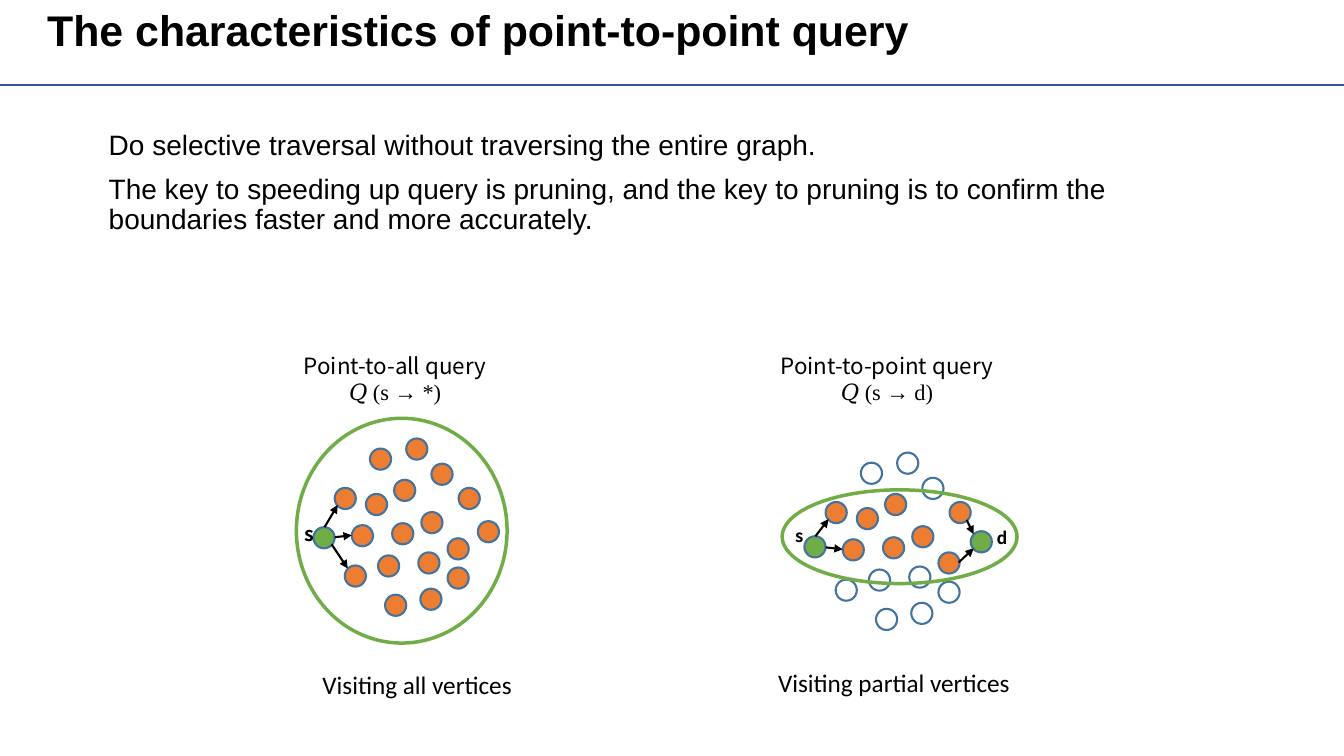
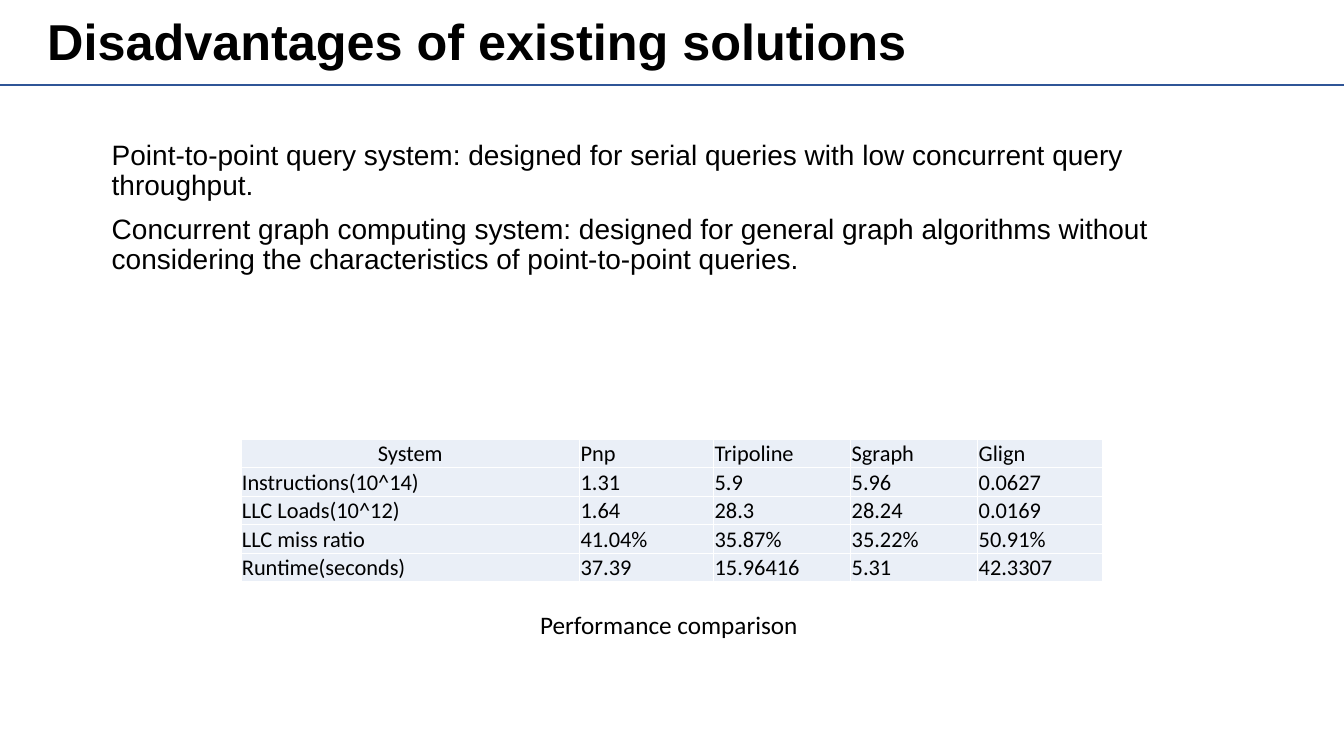
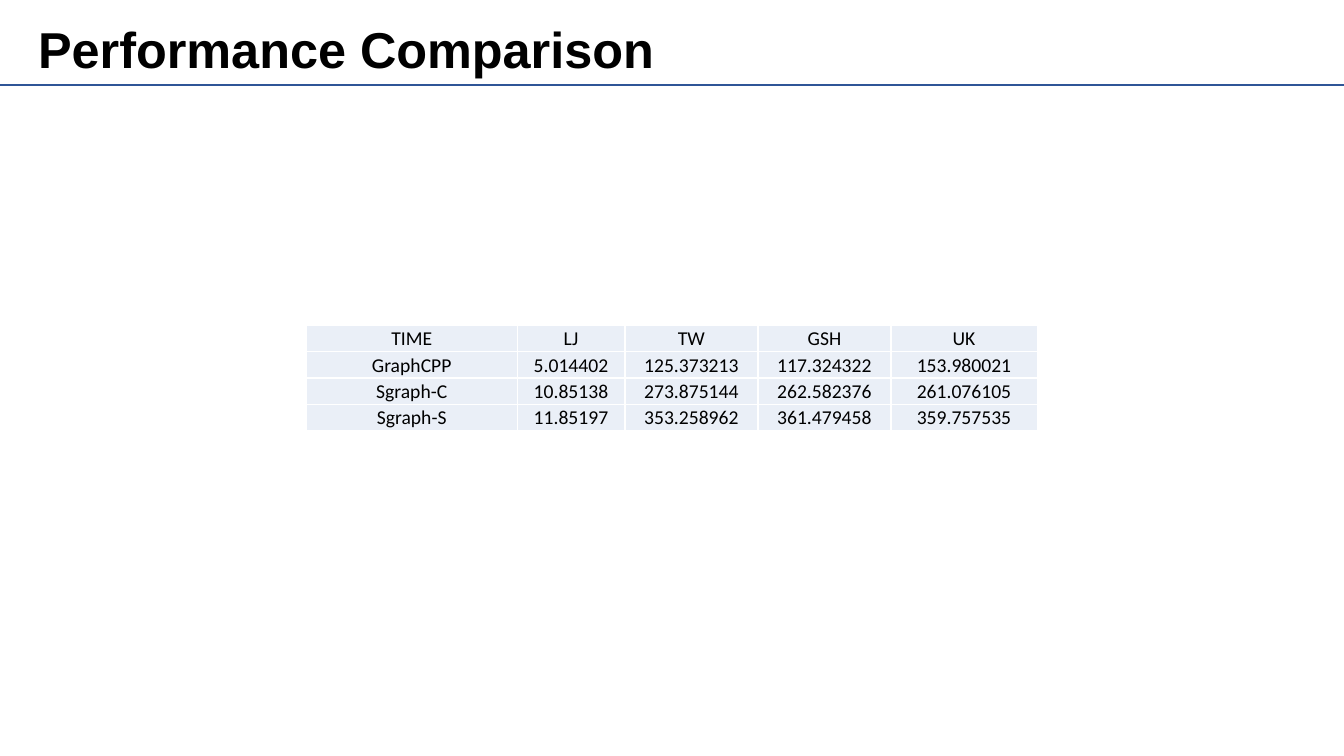
from itertools import product

from pptx import Presentation
from pptx.dml.color import RGBColor
from pptx.enum.shapes import MSO_CONNECTOR, MSO_SHAPE
from pptx.enum.text import MSO_ANCHOR as Anchor, MSO_AUTO_SIZE as AutoSize, PP_ALIGN as Align
from pptx.oxml import parse_xml
from pptx.oxml.ns import nsdecls
from pptx.util import Inches, Pt

COLUMNS, ROWS = 133.33, 75
VERTEX_SIZE = 2.1
COLORS = {
    "text": "000000",
    "rule": "2F5597",
    "unvisited": "FFFFFF",
    "visited": "ED7D31",
    "endpoint": "70AD47",
    "outline": "43739E",
    "cell": "EAEFF7",
    "border": "FFFFFF",
}
HEADING, BODY, LABEL, FORMULA = "Arial", "Calibri", "Noto Sans CJK SC", "Times New Roman"

# Vertex places, in grid cells from the origin of a query graph.
INNER_VERTICES = [
    (5.2, -3.3), (8, -4.7), (10.7, -1.5), (7.8, -0.4), (13.3, 1.1),
    (14.4, -3.9), (2.1, -3.9), (3.8, -0.2),
]
OUTER_VERTICES = [
    (5.6, -7.8), (11.7, -6.3), (10.4, 2.5), (6.4, 2.8), (3.1, 3.8),
    (7.1, 6.7), (13.3, 4), (9.2, -8.8), (10.6, 6.1),
]


def cells(count):
    """Turn a number of grid cells (a tenth of an inch each) into a length."""
    return Inches(count / 10)


def rgb(name):
    return RGBColor.from_string(COLORS[name])


def write(frame, text, size=18, fonts=(BODY,), bold=False, align=Align.LEFT,
          line_spacing=None, space_before=0):
    """Write one paragraph per line of text; the last font serves all further lines."""
    for index, line in enumerate(text.split("\n")):
        paragraph = frame.add_paragraph() if index else frame.paragraphs[0]
        paragraph.alignment = align
        paragraph.space_before = Pt(space_before)
        if line_spacing:
            paragraph.line_spacing = line_spacing
        run = paragraph.add_run()
        run.text = line
        run.font.name = fonts[min(index, len(fonts) - 1)]
        run.font.size = Pt(size)
        run.font.bold = bold
        run.font.color.rgb = rgb("text")


class Deck:
    """Holds the presentation, the current slide and the shapes being drawn into."""

    def __init__(self):
        self.presentation = Presentation()
        self.presentation.slide_width = cells(COLUMNS)
        self.presentation.slide_height = cells(ROWS)

    def new_slide(self, title, left=3.7, top=0.5, size=36, line_spacing=None):
        self.slide = self.presentation.slides.add_slide(self.presentation.slide_layouts[6])
        self.shapes = self.slide.shapes
        self.line((COLUMNS, 8.4), (0, 8.4), color="rule")
        self.text(title, left, top, 99.7, 7, size=size, fonts=(HEADING,), bold=True,
                  line_spacing=line_spacing)

    def text(self, text, left, top, width, height, wrap=True, fit=False, **style):
        frame = self.shapes.add_textbox(*map(cells, (left, top, width, height))).text_frame
        frame.word_wrap = wrap
        frame.auto_size = AutoSize.SHAPE_TO_FIT_TEXT if fit else AutoSize.NONE
        write(frame, text, **style)

    def body(self, text, left, top):
        self.text(text, left, top, 113.8, 58.8, size=20, fonts=(HEADING,),
                  line_spacing=0.9, space_before=10)

    def ellipse(self, left, top, width, height, fill=None, line="outline", weight=1.5):
        shape = self.shapes.add_shape(MSO_SHAPE.OVAL, *map(cells, (left, top, width, height)))
        shape.shadow.inherit = False
        if fill:
            shape.fill.solid()
            shape.fill.fore_color.rgb = rgb(fill)
        else:
            shape.fill.background()
        shape.line.color.rgb = rgb(line)
        shape.line.width = Pt(weight)

    def line(self, start, end, color="text", arrow=False):
        connector = self.shapes.add_connector(MSO_CONNECTOR.STRAIGHT, *map(cells, start + end))
        connector.line.color.rgb = rgb(color)
        connector.line.width = Pt(1.5)
        if arrow:
            connector.line._get_or_add_ln().append(
                parse_xml(f'<a:tailEnd {nsdecls("a")} type="triangle"/>'))
        connector._element.spPr.append(parse_xml(f'<a:effectLst {nsdecls("a")}/>'))

    def graph(self, origin, vertices, boundary, arrows, labels, label_size):
        """Draw a grouped query graph; every place is relative to its origin."""
        x, y = origin
        self.shapes = self.slide.shapes.add_group_shape().shapes
        for fill, places in vertices.items():
            for dx, dy in places:
                self.ellipse(x + dx, y + dy, VERTEX_SIZE, VERTEX_SIZE, fill)
        dx, dy, width, height = boundary
        self.ellipse(x + dx, y + dy, width, height, line="endpoint", weight=2.5)
        for label, (dx, dy) in labels.items():
            self.text(label, x + dx, y + dy, 3, label_size / 4, wrap=False, fit=True,
                      size=label_size, fonts=(LABEL,), bold=True)
        for x1, y1, x2, y2 in arrows:
            self.line((x + x1, y + y1), (x + x2, y + y2), arrow=True)
        self.shapes = self.slide.shapes

    def table(self, rows, left, top, widths, row_height, size, anchor, centered):
        """Draw a table; centered tells from row and column whether a cell is centred."""
        table = self.shapes.add_table(
            len(rows), len(widths),
            *map(cells, (left, top, sum(widths), row_height * len(rows)))).table
        for column, width in zip(table.columns, widths):
            column.width = cells(width)
        for row in table.rows:
            row.height = cells(row_height)
        for r, c in product(range(len(rows)), range(len(widths))):
            cell = table.cell(r, c)
            cell.margin_left = cell.margin_right = cell.margin_top = Inches(0.01)
            cell.margin_bottom = 0
            cell.vertical_anchor = anchor
            write(cell.text_frame, rows[r][c], size=size,
                  align=Align.CENTER if centered(r, c) else Align.LEFT)
            self.cell_borders(cell)
            cell.fill.solid()
            cell.fill.fore_color.rgb = rgb("cell")

    def cell_borders(self, cell):
        properties = cell._tc.get_or_add_tcPr()
        for side in ("lnL", "lnR", "lnT", "lnB"):
            properties.append(parse_xml(
                f'<a:{side} {nsdecls("a")} w="{Pt(1)}"><a:solidFill>'
                f'<a:srgbClr val="{COLORS["border"]}"/></a:solidFill></a:{side}>'))


def add_query_slide(deck):
    deck.new_slide("The characteristics of point-to-point query", size=30.6, line_spacing=0.9)
    deck.body("Do selective traversal without traversing the entire graph.\n"
              "The key to speeding up query is pruning, and the key to pruning is to confirm "
              "the boundaries faster and more accurately.", 9.8, 12.5)
    for heading, left, width in (("Point-to-all query\n𝑄 (s → *)", 28.5, 21.4),
                                 ("Point-to-point query\n𝑄 (s → d)", 75.5, 25)):
        deck.text(heading, left, 34.4, width, 6.4, fit=True, size=16,
                  fonts=(LABEL, FORMULA), align=Align.CENTER)
    deck.graph(
        (31.1, 52.3),
        {"visited": INNER_VERTICES + OUTER_VERTICES + [(16.3, -0.6)], "endpoint": [(0, 0)]},
        boundary=(-1.7, -10.8, 20.9, 22.3),
        arrows=[(1.1, 0, 2.4, -2.2), (2.1, 1, 3.8, 0.8), (1.8, 1.7, 3.4, 4.1)],
        labels={"s": (-1.9, -1)}, label_size=14)
    deck.graph(
        (79.8, 53.7),
        {"visited": INNER_VERTICES, "unvisited": OUTER_VERTICES,
         "endpoint": [(0, -0.5), (16.5, -1)]},
        boundary=(-2.2, -5.1, 23.3, 9.3),
        arrows=[(1.1, -0.5, 2.4, -2.2), (2.1, 0.6, 3.8, 0.8),
                (16.1, -2.1, 16.8, -0.7), (15.3, 2.1, 16.8, 0.7)],
        labels={"s": (-1.9, -2), "d": (18.1, -1.8)}, label_size=12)
    deck.text("Visiting all vertices", 31, 65.9, 26.8, 4, fit=True)
    deck.text("Visiting partial vertices", 76.2, 65.7, 26.8, 4, fit=True)


def add_disadvantages_slide(deck):
    deck.new_slide("Disadvantages of existing solutions")
    deck.body("Point-to-point query system: designed for serial queries with low concurrent "
              "query throughput.\n"
              "Concurrent graph computing system: designed for general graph algorithms "
              "without considering the characteristics of point-to-point queries.", 10.1, 13.5)
    deck.table(
        [("System", "Pnp", "Tripoline", "Sgraph", "Glign"),
         ("Instructions(10^14)", "1.31", "5.9", "5.96", "0.0627"),
         ("LLC Loads(10^12)", "1.64", "28.3", "28.24", "0.0169"),
         ("LLC miss ratio", "41.04%", "35.87%", "35.22%", "50.91%"),
         ("Runtime(seconds)", "37.39", "15.96416", "5.31", "42.3307")],
        23.9, 43.6, (33.6, 13.3, 13.6, 12.6, 12.4), 2.8, size=16, anchor=Anchor.BOTTOM,
        centered=lambda row, column: row == column == 0)
    deck.text("Performance comparison", 52.6, 60, 43.4, 4, fit=True)


def add_comparison_slide(deck):
    deck.new_slide("Performance Comparison", left=2.8, top=1.3)
    deck.table(
        [("TIME", "LJ", "TW", "GSH", "UK"),
         ("GraphCPP", "5.014402", "125.373213", "117.324322", "153.980021"),
         ("Sgraph-C", "10.85138", "273.875144", "262.582376", "261.076105"),
         ("Sgraph-S", "11.85197", "353.258962", "361.479458", "359.757535")],
        30.4, 32.3, (20.9, 10.7, 13.2, 13.2, 14.5), 2.6, size=14, anchor=Anchor.MIDDLE,
        centered=lambda row, column: True)


def main():
    deck = Deck()
    add_query_slide(deck)
    add_disadvantages_slide(deck)
    add_comparison_slide(deck)
    deck.presentation.save("out.pptx")


if __name__ == "__main__":
    main()
